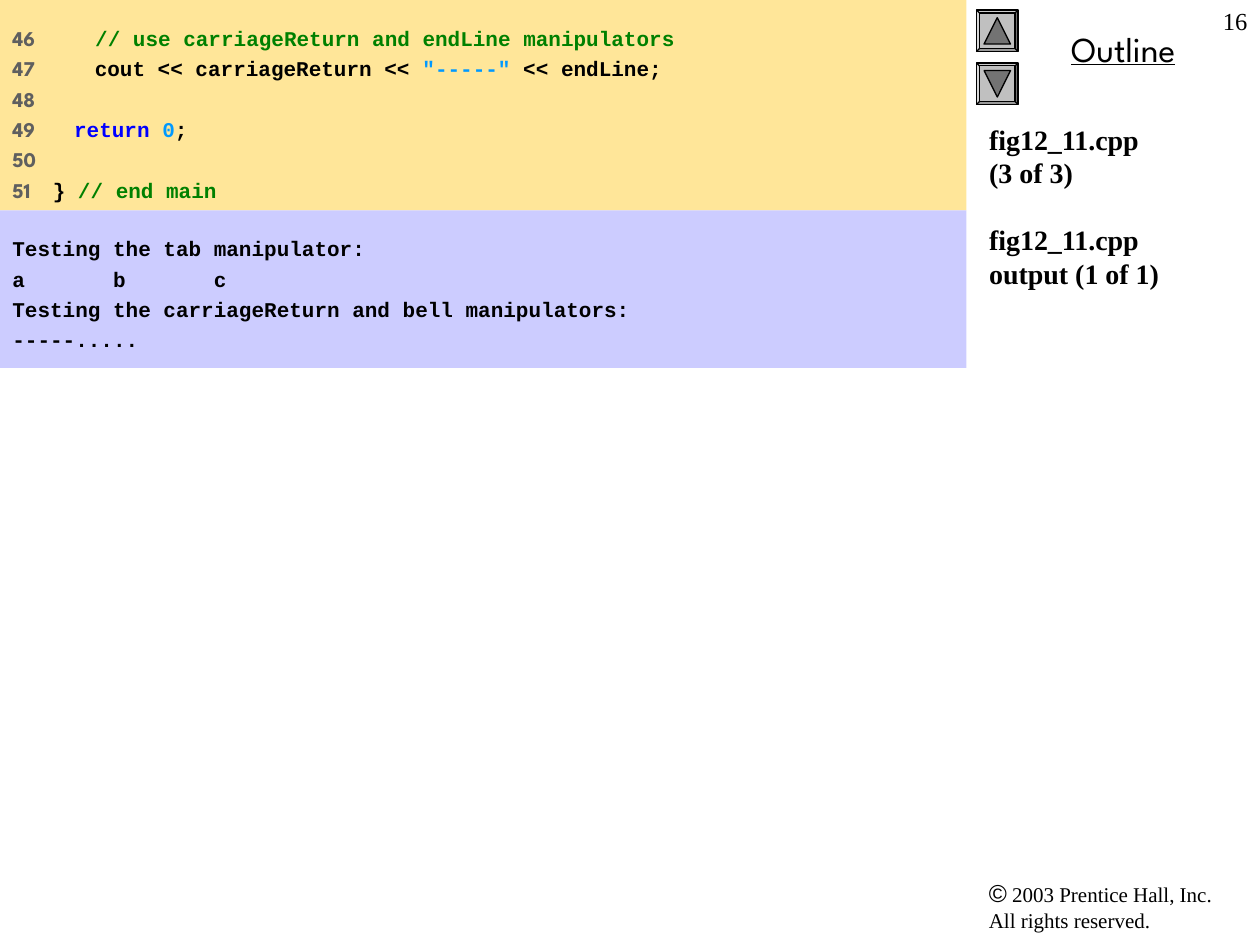
from pptx import Presentation
from pptx.dml.color import RGBColor
from pptx.enum import shapes, text
from pptx.util import Inches, Pt

SANS, SERIF, MONO, SYMBOL = "League Spartan", "Times New Roman", "Courier New", "Arial"
BLACK, GRAY, GREEN, BLUE, SKY = "000000", "5F5F5F", "008000", "0000FF", "0099FF"

# Each line of code: its number with the spacing after it, then coloured pieces.
CODE = [
    ("46    ", [("   // use carriageReturn and endLine manipulators", GREEN)]),
    ("47    ", [("   cout << carriageReturn << ", BLACK), ('"-----"', SKY),
                (" << endLine;", BLACK)]),
    ("48", []),
    ("49       ", [("return ", BLUE), ("0", SKY), (";", BLACK)]),
    ("50", []),
    ("51    ", [("} ", BLACK), ("// end main", GREEN)]),
]
OUTPUT = [
    "Testing the tab manipulator:",
    "a       b       c",
    "Testing the carriageReturn and bell manipulators:",
    "-----.....",
]
TITLE = ["fig12_11.cpp\v(3 of 3)", "fig12_11.cpp\voutput (1 of 1)"]
COPYRIGHT = [("©", SYMBOL, 14),
             (" 2003 Prentice Hall, Inc.\vAll rights reserved.", SERIF, 12)]

PANEL_WIDTH, SIDE_LEFT = 7.67, 7.75
BUTTON_SIZE, ARROW_SIZE = 0.33, 0.21
BUTTONS = [(0.08, 0), (0.5, 180)]  # top, arrow rotation


def rgb(color):
    return RGBColor.from_string(color)


def write(frame, paragraphs, gap=0, bold=False, align=text.PP_ALIGN.LEFT, inset=0.05):
    """Fill a frame with paragraphs, each a list of (text, font, size, colour)."""
    frame.word_wrap = True
    frame.auto_size = text.MSO_AUTO_SIZE.NONE
    frame.vertical_anchor = text.MSO_ANCHOR.TOP
    frame.margin_left = frame.margin_right = Inches(0.1)
    frame.margin_top = frame.margin_bottom = Inches(inset)
    for index, pieces in enumerate(paragraphs):
        paragraph = frame.add_paragraph() if index else frame.paragraphs[0]
        paragraph.alignment = align
        paragraph.space_before = Pt(gap if index else 0)
        for words, font, size, color in pieces:
            for part, line in enumerate(words.split("\v")):
                if part:
                    paragraph.add_line_break()
                run = paragraph.add_run()
                run.text = line
                run.font.name, run.font.size, run.font.bold = font, Pt(size), bold
                run.font.color.rgb = rgb(color)


def add_text(slide, left, top, width, height, pieces, **style):
    box = slide.shapes.add_textbox(*map(Inches, (left, top, width, height)))
    write(box.text_frame, [pieces], **style)
    return box


def add_filled(slide, kind, left, top, width, height, fill, line=None):
    shape = slide.shapes.add_shape(kind, *map(Inches, (left, top, width, height)))
    shape.shadow.inherit = False
    shape.fill.solid()
    shape.fill.fore_color.rgb = rgb(fill)
    if line:
        shape.line.color.rgb = rgb(line)
        shape.line.width = Pt(0.75)
    else:
        shape.line.fill.background()
    return shape


def add_panel(slide, top, height, fill, lines):
    panel = add_filled(slide, shapes.MSO_SHAPE.RECTANGLE, 0, top, PANEL_WIDTH, height, fill)
    write(panel.text_frame, lines, gap=3, bold=True, inset=0.2)


def add_button(slide, top, rotation):
    bevel = add_filled(slide, shapes.MSO_SHAPE.BEVEL, SIDE_LEFT, top,
                       BUTTON_SIZE, BUTTON_SIZE, "C0C0C0", BLACK)
    bevel.adjustments[0] = 0.07
    margin = (BUTTON_SIZE - ARROW_SIZE) / 2
    arrow = add_filled(slide, shapes.MSO_SHAPE.ISOSCELES_TRIANGLE, SIDE_LEFT + margin,
                       top + margin, ARROW_SIZE, ARROW_SIZE, "737373", BLACK)
    arrow.rotation = rotation


def main():
    presentation = Presentation()
    presentation.slide_width, presentation.slide_height = Inches(10), Inches(7.5)
    slide = presentation.slides.add_slide(presentation.slide_layouts[5])

    title = slide.shapes.title
    title.left, title.top, title.width, title.height = map(
        Inches, (SIDE_LEFT, 0.92, 2.25, 5.25))
    write(title.text_frame, [[(words, SERIF, 16, BLACK)] for words in TITLE],
          gap=19, bold=True)

    add_text(slide, SIDE_LEFT, 6.92, 2.17, 0.54, [piece + (BLACK,) for piece in COPYRIGHT])
    outline = add_text(slide, 7.83, 0.17, 2.17, 0.44, [("Outline", SANS, 20, BLACK)],
                       align=text.PP_ALIGN.CENTER)
    outline.text_frame.paragraphs[0].runs[0].font.underline = True
    for top, rotation in BUTTONS:
        add_button(slide, top, rotation)
    add_text(slide, 9.5, 0, 0.5, 0.5, [("16", SERIF, 14, BLACK)],
             align=text.PP_ALIGN.RIGHT)

    code_lines = [[(number, SANS, 12, GRAY)]
                  + [(words, MONO, 12, color) for words, color in pieces]
                  for number, pieces in CODE]
    add_panel(slide, 0, 1.67, "FFE699", code_lines)
    add_panel(slide, 1.67, 1.25, "CCCCFF", [[(line, MONO, 12, BLACK)] for line in OUTPUT])

    presentation.save("out.pptx")


if __name__ == "__main__":
    main()
